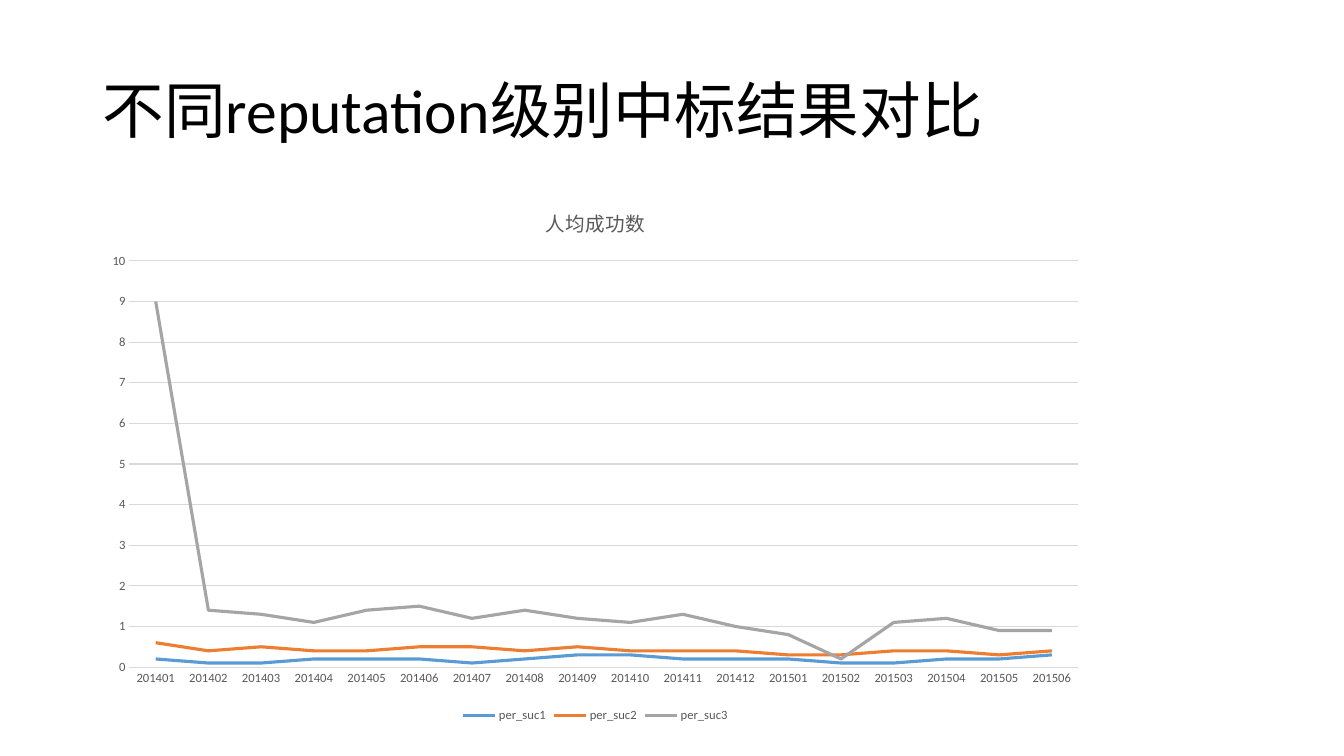
from pptx import Presentation
from pptx.chart.data import CategoryChartData
from pptx.dml.color import RGBColor
from pptx.enum import chart as kinds, text
from pptx.util import Cm, Pt

FONT = "Calibri"
BLACK = RGBColor(0x00, 0x00, 0x00)
GREY_TEXT = RGBColor(0x59, 0x59, 0x59)
GRID_GREY = RGBColor(0xD9, 0xD9, 0xD9)
BLUE = RGBColor(0x5B, 0x9B, 0xD5)
ORANGE = RGBColor(0xED, 0x7D, 0x31)
GREY = RGBColor(0xA5, 0xA5, 0xA5)

MONTHS = [f"{2014 + i // 12}{i % 12 + 1:02d}" for i in range(18)]
SUCCESSES = [
    ("per_suc1", BLUE, [0.2, 0.1, 0.1, 0.2, 0.2, 0.2, 0.1, 0.2, 0.3,
                        0.3, 0.2, 0.2, 0.2, 0.1, 0.1, 0.2, 0.2, 0.3]),
    ("per_suc2", ORANGE, [0.6, 0.4, 0.5, 0.4, 0.4, 0.5, 0.5, 0.4, 0.5,
                          0.4, 0.4, 0.4, 0.3, 0.3, 0.4, 0.4, 0.3, 0.4]),
    ("per_suc3", GREY, [9, 1.4, 1.3, 1.1, 1.4, 1.5, 1.2, 1.4, 1.2,
                        1.1, 1.3, 1, 0.8, 0.2, 1.1, 1.2, 0.9, 0.9]),
]


def style_font(font, size, color):
    font.name = FONT
    font.size = Pt(size)
    font.bold = False
    font.color.rgb = color


def style_line(line, color, width):
    line.color.rgb = color
    line.width = Pt(width)


def place_title(page, box, wording):
    title = page.shapes.title
    title.left, title.top, title.width, title.height = box
    frame = title.text_frame
    frame.text = wording
    frame.word_wrap = True
    frame.auto_size = text.MSO_AUTO_SIZE.NONE
    frame.vertical_anchor = text.MSO_ANCHOR.MIDDLE
    para = frame.paragraphs[0]
    para.alignment = text.PP_ALIGN.LEFT
    para.line_spacing = 0.9
    style_font(para.font, 44, BLACK)


def place_success_chart(page, box):
    table = CategoryChartData()
    table.categories = MONTHS
    for name, _, values in SUCCESSES:
        table.add_series(name, values)
    chart = page.shapes.add_chart(kinds.XL_CHART_TYPE.LINE, *box, table).chart
    style_font(chart.font, 10, BLACK)

    # Chart title and legend
    heading = chart.chart_title.text_frame
    heading.text = "人均成功数"
    style_font(heading.paragraphs[0].font, 14, GREY_TEXT)
    chart.chart_title.include_in_layout = False
    chart.has_legend = True
    chart.legend.position = kinds.XL_LEGEND_POSITION.BOTTOM
    chart.legend.include_in_layout = False
    style_font(chart.legend.font, 9, GREY_TEXT)

    # Axes
    for axis in (chart.category_axis, chart.value_axis):
        axis.major_tick_mark = kinds.XL_TICK_MARK.NONE
        axis.minor_tick_mark = kinds.XL_TICK_MARK.NONE
        style_font(axis.tick_labels.font, 9, GREY_TEXT)
    style_line(chart.category_axis.format.line, GRID_GREY, 0.75)
    scale = chart.value_axis
    scale.minimum_scale, scale.maximum_scale, scale.major_unit = 0, 10, 1
    scale.tick_labels.number_format = "General"
    scale.tick_labels.number_format_is_linked = False
    scale.format.line.fill.background()
    style_line(scale.major_gridlines.format.line, GRID_GREY, 0.75)

    # Lines
    plot = chart.plots[0]
    plot.vary_by_categories = False
    for series, (_, color, _) in zip(plot.series, SUCCESSES):
        series.smooth = False
        series.marker.style = kinds.XL_MARKER_STYLE.NONE
        style_line(series.format.line, color, 2.25)


deck = Presentation()
deck.slide_width, deck.slide_height = Cm(33.87), Cm(19.05)
page = deck.slides.add_slide(deck.slide_layouts[5])
place_title(page, (Cm(2.33), Cm(1.01), Cm(29.21), Cm(3.68)),
            "不同reputation级别中标结果对比")
place_success_chart(page, (Cm(2.33), Cm(4.7), Cm(25.35), Cm(13.61)))
deck.save("out.pptx")
